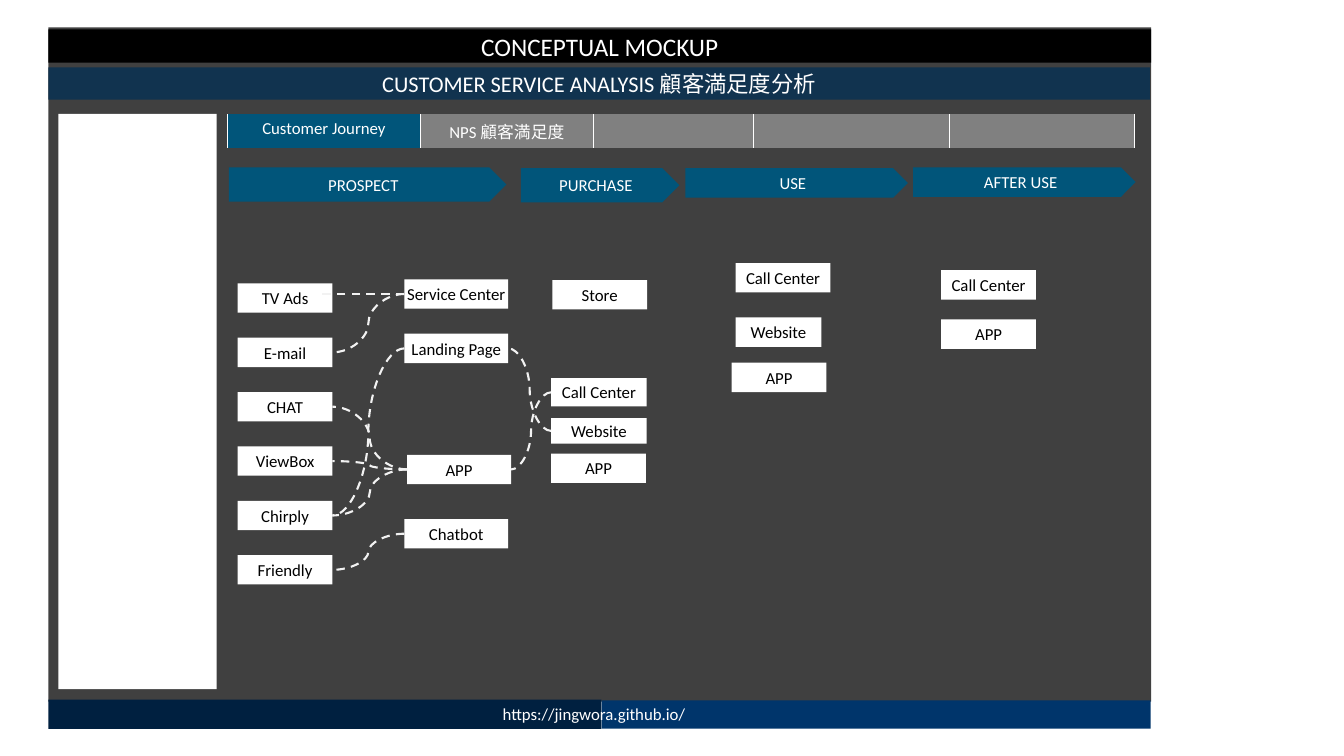
from lxml import etree
from pptx import Presentation
from pptx.dml.color import RGBColor
from pptx.enum.dml import MSO_LINE
from pptx.enum.shapes import MSO_CONNECTOR, MSO_SHAPE
from pptx.enum.text import MSO_ANCHOR, PP_ALIGN
from pptx.oxml.ns import qn
from pptx.util import Cm, Pt

RECT, PENTAGON = MSO_SHAPE.RECTANGLE, MSO_SHAPE.PENTAGON
CURVE, DASH = MSO_CONNECTOR.CURVE, MSO_LINE.DASH
CENTER, MIDDLE = PP_ALIGN.CENTER, MSO_ANCHOR.MIDDLE
LEFT_SIDE, RIGHT_SIDE = 1, 3
LATIN_FONT, CJK_FONT = "Calibri", "Noto Sans CJK JP"

COLORS = {
    "white": "FFFFFF", "black": "000000", "board": "404040",
    "subtitle": "11334F", "footer_left": "002040", "footer_right": "00356B",
    "accent": "01557A", "tab": "808080", "link": "F2F2F2",
}

ARROWS = [
    ("PROSPECT", 5.77, 4.22, 6.99, 0.86), ("PURCHASE", 13.13, 4.24, 3.99, 0.86),
    ("USE", 17.27, 4.24, 5.61, 0.74), ("AFTER USE", 23.01, 4.22, 5.61, 0.74),
]
TABS = [("Customer Journey", 4.85), ("NPS 顧客満足度", 4.37), ("", 4.04), ("", 4.93), ("", 4.67)]

BOX_W, BOX_H = 2.39, 0.74
CHANNELS = ["TV Ads", "E-mail", "CHAT", "ViewBox", "Chirply", "Friendly"]
CHANNEL_X, CHANNEL_Y, CHANNEL_STEP = 5.99, 7.14, 1.37
TOUCHPOINTS = [
    ("Service Center", 10.19, 7.04, 2.62, BOX_H), ("Landing Page", 10.19, 8.41, 2.62, BOX_H),
    ("APP", 10.26, 11.46, 2.62, BOX_H), ("Chatbot", 10.19, 13.08, 2.62, BOX_H),
]
PURCHASE = [
    ("Store", 13.92, 7.06, BOX_W, BOX_H), ("Call Center", 13.89, 9.53, 2.41, 0.71),
    ("Website", 13.89, 10.54, 2.41, 0.64), ("APP", 13.89, 11.43, BOX_W, BOX_H),
]
USE = [
    ("Call Center", 18.54, 6.63, BOX_W, BOX_H), ("Website", 18.54, 8, 2.16, BOX_H),
    ("APP", 18.44, 9.14, BOX_W, BOX_H),
]
AFTER_USE = [("Call Center", 23.72, 6.81, BOX_W, BOX_H), ("APP", 23.72, 8.05, BOX_W, BOX_H)]

CHANNEL_LINKS = [
    ("E-mail", "Service Center"), ("Chirply", "Landing Page"), ("CHAT", "APP"),
    ("ViewBox", "APP"), ("Chirply", "APP"), ("Friendly", "Chatbot"),
]
PURCHASE_LINKS = [("Landing Page", "Website"), ("APP", "Call Center")]


def rgb(name):
    return RGBColor.from_string(COLORS[name])


def write(tf, text, size=12, color="white"):
    p = tf.paragraphs[0]
    p.alignment = CENTER
    r = p.add_run()
    r.text = text
    r.font.size = Pt(size)
    r.font.name = LATIN_FONT
    r.font.color.rgb = rgb(color)
    ea = etree.SubElement(r.font._element, qn("a:ea"))
    ea.set("typeface", CJK_FONT)


def center_frame(tf, wrap=False):
    tf.word_wrap = wrap
    tf.vertical_anchor = MIDDLE
    tf.margin_left = tf.margin_right = tf.margin_top = tf.margin_bottom = 0


def add_block(s, x, y, w, h, fill, text="", kind=RECT, **fmt):
    sp = s.shapes.add_shape(kind, Cm(x), Cm(y), Cm(w), Cm(h))
    sp.shadow.inherit = False
    sp.fill.solid()
    sp.fill.fore_color.rgb = rgb(fill)
    sp.line.fill.background()
    if text:
        center_frame(sp.text_frame)
        write(sp.text_frame, text, **fmt)
    return sp


def add_boxes(s, boxes):
    """Draw white labelled boxes and return them by label."""
    return {text: add_block(s, x, y, w, h, "white", text, color="black")
            for text, x, y, w, h in boxes}


def add_link(s, target, source=None, end=(0, 0)):
    """Draw a dashed curve from target's left side to source's right side, or to end."""
    x, y = (Cm(v) for v in end)
    c = s.shapes.add_connector(CURVE, target.left, target.top + target.height // 2, x, y)
    c.begin_connect(target, LEFT_SIDE)
    if source is not None:
        c.end_connect(source, RIGHT_SIDE)
    c.line.color.rgb = rgb("link")
    c.line.width = Pt(1.5)
    c.line.dash_style = DASH
    etree.SubElement(c._element.spPr, qn("a:effectLst"))


def set_borders(cell):
    """White lines left and right, none above and below."""
    tc_pr = cell._tc.get_or_add_tcPr()
    for side in ("lnL", "lnR"):
        ln = etree.SubElement(tc_pr, qn(f"a:{side}"), w=str(Pt(1)))
        fill = etree.SubElement(ln, qn("a:solidFill"))
        etree.SubElement(fill, qn("a:srgbClr"), val=COLORS["white"])
    for side in ("lnT", "lnB"):
        ln = etree.SubElement(tc_pr, qn(f"a:{side}"))
        etree.SubElement(ln, qn("a:noFill"))


def add_tabs(s):
    width = sum(w for _, w in TABS)
    table = s.shapes.add_table(1, len(TABS), Cm(5.74), Cm(2.87), Cm(width), Cm(0.86)).table
    table.first_row = table.horz_banding = False
    for i, (text, w) in enumerate(TABS):
        table.columns[i].width = Cm(w)
        cell = table.cell(0, i)
        set_borders(cell)
        cell.fill.solid()
        cell.fill.fore_color.rgb = rgb("tab" if i else "accent")
        if text:
            write(cell.text_frame, text)
        else:
            cell.margin_top = cell.margin_bottom = 0


def add_frame(s):
    add_block(s, 1.22, 0.69, 27.79, 16.99, "board")
    add_block(s, 1.22, 1.7, 27.76, 0.81, "subtitle", "CUSTOMER SERVICE ANALYSIS 顧客満足度分析", size=16)
    add_block(s, 1.22, 17.63, 13.94, 0.74, "footer_left")
    add_block(s, 15.16, 17.65, 13.84, 0.71, "footer_right")
    footer = s.shapes.add_textbox(Cm(10.54), Cm(17.75), Cm(8.86), Cm(0.46)).text_frame
    center_frame(footer, wrap=True)
    write(footer, "https://jingwora.github.io/")
    add_block(s, 1.22, 0.74, 27.79, 0.84, "black", "CONCEPTUAL MOCKUP", size=18)
    add_block(s, 1.47, 2.87, 3.99, 14.5, "white")


def main():
    prs = Presentation()
    prs.slide_width, prs.slide_height = Cm(33.87), Cm(19.05)
    s = prs.slides.add_slide(prs.slide_layouts[6])
    add_frame(s)
    add_tabs(s)
    for text, x, y, w, h in ARROWS:
        add_block(s, x, y, w, h, "accent", text, kind=PENTAGON)

    channels = add_boxes(s, [(text, CHANNEL_X, CHANNEL_Y + i * CHANNEL_STEP, BOX_W, BOX_H)
                             for i, text in enumerate(CHANNELS)])
    touchpoints = add_boxes(s, TOUCHPOINTS)
    purchase = add_boxes(s, PURCHASE)
    add_boxes(s, USE)
    add_boxes(s, AFTER_USE)

    add_link(s, touchpoints["Service Center"], end=(8.05, 7.41))
    for source, target in CHANNEL_LINKS:
        add_link(s, touchpoints[target], channels[source])
    for source, target in PURCHASE_LINKS:
        add_link(s, purchase[target], touchpoints[source])
    prs.save("out.pptx")


if __name__ == "__main__":
    main()
